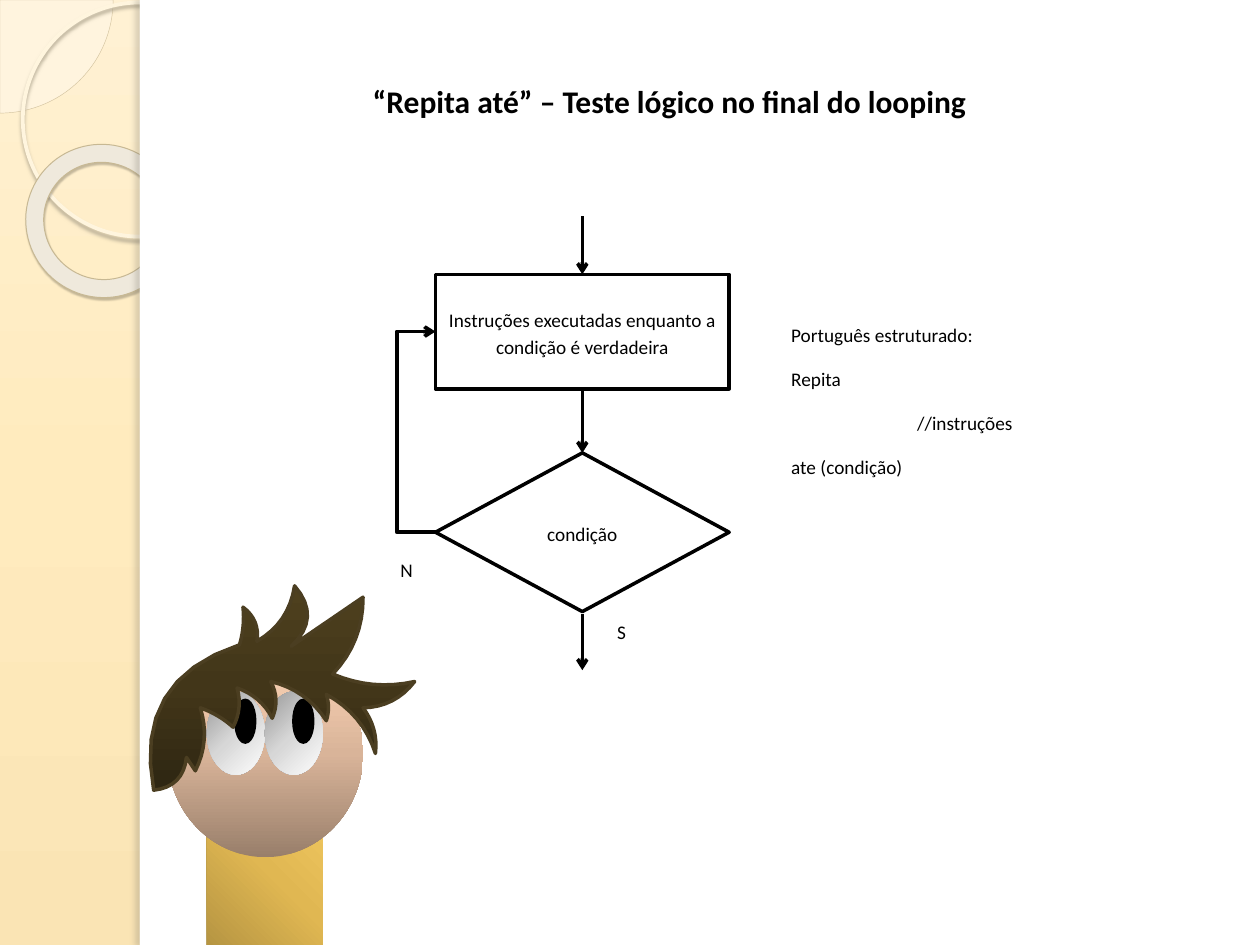
import lxml.etree
import pptx
import pptx.dml.color
import pptx.enum.shapes
import pptx.enum.text
import pptx.oxml.ns
import pptx.util

Cm = pptx.util.Cm
Pt = pptx.util.Pt
RGBColor = pptx.dml.color.RGBColor
SHAPE = pptx.enum.shapes.MSO_SHAPE
CONNECTOR = pptx.enum.shapes.MSO_CONNECTOR
ALIGN = pptx.enum.text.PP_ALIGN
ANCHOR = pptx.enum.text.MSO_ANCHOR
qn = pptx.oxml.ns.qn
SubElement = lxml.etree.SubElement

BLACK = RGBColor(0x00, 0x00, 0x00)
WHITE = RGBColor(0xFF, 0xFF, 0xFF)
PIE_FILL = RGBColor(0xFF, 0xF4, 0xDE)
PIE_LINE = RGBColor(0xD3, 0xC3, 0x9F)
CIRCLE_LINE = RGBColor(0xFF, 0xF5, 0xDE)
CIRCLE_SHADOW = RGBColor(0xB0, 0xA6, 0x8F)
RING_FILL = RGBColor(0xEF, 0xE9, 0xDC)
RING_LINE = RGBColor(0xC7, 0xB8, 0x93)
RING_SHADOW = RGBColor(0x5A, 0x54, 0x44)
EDGE_SHADOW = RGBColor(0x73, 0x6F, 0x63)
HAIR_LINE = RGBColor(0x4B, 0x3E, 0x21)
CREAM = [RGBColor(0xFF, 0xF1, 0xD3), RGBColor(0xFF, 0xEB, 0xBE), RGBColor(0xFA, 0xE4, 0xB4)]
SHIRT = [RGBColor(0x9D, 0x81, 0x39), RGBColor(0xE0, 0xB7, 0x52), RGBColor(0xFF, 0xD5, 0x6B)]
SKIN = [RGBColor(0x99, 0x7F, 0x6B), RGBColor(0xD9, 0xB4, 0x99), RGBColor(0xFF, 0xD6, 0xB8)]
EYE = [RGBColor(0x97, 0x97, 0x97), RGBColor(0xD7, 0xD7, 0xD7), WHITE]
HAIR = [RGBColor(0x2E, 0x26, 0x12), RGBColor(0x42, 0x36, 0x19), RGBColor(0x4E, 0x40, 0x1E)]

slide_width, slide_height, sidebar_width = 25.4, 19.05, 2.82
deck = pptx.Presentation()
deck.slide_width, deck.slide_height = Cm(slide_width), Cm(slide_height)
slide = deck.slides.add_slide(deck.slide_layouts[5])


def paint(fill, element, colours, angle):
    fill.gradient()
    fill.gradient_angle = angle
    stops = next(element.iter(qn("a:gsLst")))
    for stop in list(stops):
        stops.remove(stop)
    for index, colour in enumerate(colours):
        stop = SubElement(stops, qn("a:gs"), pos=str(index * 50000))
        SubElement(stop, qn("a:srgbClr"), val=str(colour))


def add_shape(kind, left, top, width, height, fill=None, line=None, weight=2):
    shape = slide.shapes.add_shape(kind, Cm(left), Cm(top), Cm(width), Cm(height))
    shape.shadow.inherit = False
    if fill is None:
        shape.fill.background()
    else:
        shape.fill.solid()
        shape.fill.fore_color.rgb = fill
    if line is None:
        shape.line.fill.background()
    else:
        shape.line.color.rgb = line
        shape.line.width = Pt(weight)
    return shape


paint(slide.background.fill, slide.element, CREAM, 270)
pie_radius = 2.28
pie = add_shape(SHAPE.PIE, -pie_radius, -pie_radius, 2 * pie_radius, 2 * pie_radius,
                PIE_FILL, PIE_LINE, 0.25)
pie.adjustments[0], pie.adjustments[1] = 0, 54
circle = add_shape(SHAPE.OVAL, 0.46, 0.05, 4.72, 4.72, None, CIRCLE_LINE, 2.15)
ring = add_shape(SHAPE.DONUT, 0.51, 2.92, 3.12, 3.07, RING_FILL, RING_LINE, 0.58)
ring.adjustments[0] = 0.118
ring.rotation = 38.6
edge = add_shape(SHAPE.RECTANGLE, sidebar_width, 0, 0.2, slide_height, WHITE)
add_shape(SHAPE.RECTANGLE, sidebar_width, 0, slide_width - sidebar_width, slide_height, WHITE)

for shape, colour, opacity, blur, distance, direction in [
    (circle, CIRCLE_SHADOW, 85, 2, 2, 90),
    (ring, RING_SHADOW, 35, 1, 1.2, 75),
    (edge, EDGE_SHADOW, 25, 3, 3, 180),
]:
    effects = shape.element.spPr.find(qn("a:effectLst"))
    shadow = SubElement(effects, qn("a:outerShdw"), blurRad=str(Pt(blur)),
                        dist=str(Pt(distance)), dir=str(direction * 60000), rotWithShape="0")
    tint = SubElement(shadow, qn("a:srgbClr"), val=str(colour))
    SubElement(tint, qn("a:alpha"), val=str(opacity * 1000))

neck_left, eye_width = 4.17, 1.17
neck = add_shape(SHAPE.ROUNDED_RECTANGLE, neck_left, 14.35, 2 * eye_width, 6.25)
paint(neck.fill, neck.element, SHIRT, 45)
face = add_shape(SHAPE.OVAL, 3.38, 13.11, 3.94, 4.17)
paint(face.fill, face.element, SKIN, 90)
for eye_left in (neck_left, neck_left + eye_width):
    eye = add_shape(SHAPE.OVAL, eye_left, 13.94, eye_width, 1.68)
    paint(eye.fill, eye.element, EYE, 315)
    add_shape(SHAPE.OVAL, eye_left + eye_width / 2, 14.12, 0.38, 0.84, BLACK, BLACK)

hair_locks = {
    "nape": {"tip": (3.1, 15.93), "root": (4.83, 13.0), "bows": (0.22, -0.05)},
    "cowlick": {"tip": (4.9, 12.24), "root": (5.18, 12.93), "bows": (0.15, -0.12)},
    "crown": {"tip": (5.94, 11.81), "root": (5.87, 13.03), "bows": (0.24, 0)},
    "quiff": {"tip": (7.32, 12.04), "root": (6.71, 13.59), "bows": (0.1, -0.08)},
    "side": {"tip": (8.36, 13.74), "root": (7.32, 14.27), "bows": (0.12, 0.1)},
    "ear": {"tip": (7.57, 15.19), "root": (6.58, 14.0), "bows": (-0.1, 0.08)},
    "right fringe": {"tip": (6.58, 14.53), "root": (5.46, 13.74), "bows": (-0.1, 0.12)},
    "middle fringe": {"tip": (5.49, 14.48), "root": (4.78, 13.87), "bows": (-0.1, 0.1)},
    "left fringe": {"tip": (4.7, 14.66), "root": (4.04, 14.27), "bows": (-0.05, 0.1)},
    "temple": {"tip": (3.94, 15.54), "root": (3.76, 15.27), "bows": (0, 0.2)},
}
corners = [lock[part] for lock in hair_locks.values() for part in ("tip", "root")]
bows = [bow for lock in hair_locks.values() for bow in lock["bows"]]
curve_steps = 8
outline = []
for (x, y), (next_x, next_y), bow in zip(corners, corners[1:] + corners[:1], bows):
    run, drop = next_x - x, next_y - y
    for step in range(curve_steps):
        along = step / curve_steps
        bulge = 4 * bow * along * (1 - along)
        outline.append((Cm(x + run * along + drop * bulge), Cm(y + drop * along - run * bulge)))
builder = slide.shapes.build_freeform(*outline[0])
builder.add_line_segments(outline[1:], close=True)
hair = builder.convert_to_shape()
hair.shadow.inherit = False
paint(hair.fill, hair.element, HAIR, 90)
hair.line.color.rgb = HAIR_LINE
hair.line.width = Pt(2)

title = slide.shapes.title
slide.shapes.element.append(title.element)
title.left, title.top, title.width, title.height = Cm(7.26), Cm(1.52), Cm(12.57), Cm(1.02)
title.text_frame.word_wrap = False
title.text_frame.text = "“Repita até” – Teste lógico no final do looping"
para = title.text_frame.paragraphs[0]
para.alignment = ALIGN.LEFT
para.font.name = "Calibri"
para.font.size = Pt(18)
para.font.bold = True
para.font.color.rgb = BLACK

flow_left, flow_width = 8.78, 5.92
process_top, process_height = 5.53, 2.31
decision_top, decision_height = 9.13, 3.2
axis = flow_left + flow_width / 2
process_bottom = process_top + process_height
decision_bottom = decision_top + decision_height
process_middle = process_top + process_height / 2
decision_middle = decision_top + decision_height / 2
loop_reach, loop_offset = 0.78, 0.04

decision = add_shape(SHAPE.FLOWCHART_DECISION, flow_left, decision_top, flow_width,
                     decision_height, WHITE, BLACK)
process = add_shape(SHAPE.RECTANGLE, flow_left, process_top, flow_width,
                    process_height, WHITE, BLACK)
for kind, start_x, start_y, end_x, end_y in [
    (CONNECTOR.STRAIGHT, axis, process_top - 1.17, axis, process_top),
    (CONNECTOR.STRAIGHT, axis, process_bottom + 0.04, axis, decision_top),
    (CONNECTOR.STRAIGHT, axis, decision_bottom + 0.04, axis, decision_bottom + 1.18),
    (CONNECTOR.ELBOW, flow_left + loop_offset, decision_middle, flow_left, process_middle),
]:
    arrow = slide.shapes.add_connector(kind, Cm(start_x), Cm(start_y), Cm(end_x), Cm(end_y))
    arrow.line.color.rgb = BLACK
    arrow.line.width = Pt(2)
    properties = arrow.element.spPr
    SubElement(properties.find(qn("a:ln")), qn("a:tailEnd"), type="arrow")
    SubElement(properties, qn("a:effectLst"))
    if kind == CONNECTOR.ELBOW:
        bend = round((loop_reach + loop_offset) / loop_offset * 100000)
        SubElement(next(properties.iter(qn("a:avLst"))), qn("a:gd"), name="adj1", fmla=f"val {bend}")

no_label = slide.shapes.add_textbox(Cm(7.82), Cm(11.07), Cm(1.37), Cm(0.89))
yes_label = slide.shapes.add_textbox(Cm(12.19), Cm(12.32), Cm(1.37), Cm(0.89))
code = slide.shapes.add_textbox(Cm(15.7), Cm(6.32), Cm(5.59), Cm(4.39))
for box, lines, alignment, anchor in [
    (decision, ["condição"], ALIGN.CENTER, ANCHOR.MIDDLE),
    (process, ["Instruções executadas enquanto a condição é verdadeira"], ALIGN.CENTER, ANCHOR.MIDDLE),
    (no_label, ["N"], ALIGN.LEFT, ANCHOR.TOP),
    (yes_label, ["S"], ALIGN.LEFT, ANCHOR.TOP),
    (code, ["Português estruturado:", "Repita", "//instruções", "ate (condição)"], ALIGN.LEFT, ANCHOR.TOP),
]:
    frame = box.text_frame
    frame.word_wrap = True
    frame.vertical_anchor = anchor
    frame.text = "\n".join(lines)
    for para in frame.paragraphs:
        para.alignment = alignment
        para.line_spacing = 1.15
        para.space_after = Pt(10)
        para.font.name = "Calibri"
        para.font.size = Pt(11)
        para.font.color.rgb = BLACK
loop_body = list(code.element.iter(qn("a:pPr")))[2]
loop_body.set("marL", str(Cm(2.54)))

deck.save("out.pptx")
